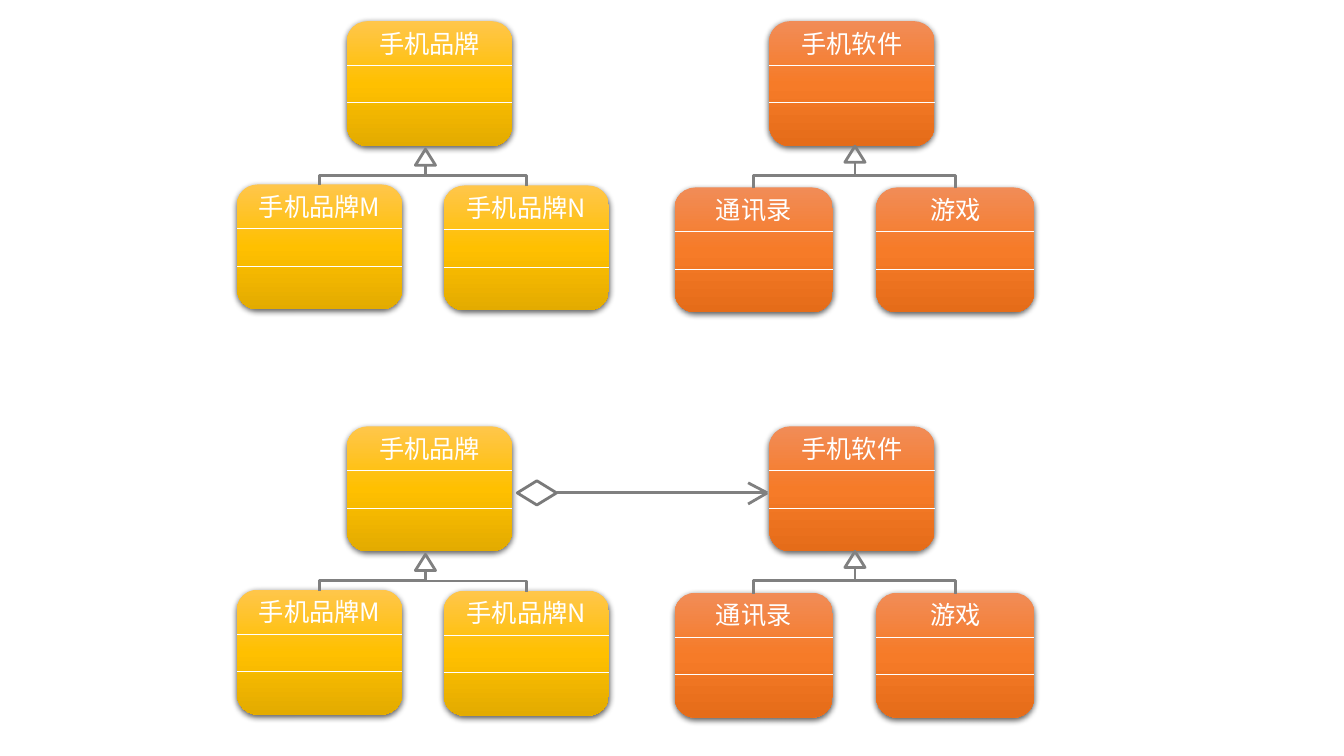
from copy import deepcopy

from lxml import etree
from pptx import Presentation
from pptx.dml.color import RGBColor
from pptx.enum import shapes, text
from pptx.oxml.ns import qn
from pptx.util import Inches, Pt

WHITE = RGBColor(0xFF, 0xFF, 0xFF)
GREY = RGBColor(0x80, 0x80, 0x80)
DIAMOND_GREY = RGBColor(0x7A, 0x7A, 0x7A)
YELLOWS = [RGBColor(0xFF, 0xC6, 0x4B), RGBColor(0xFF, 0xC0, 0x00), RGBColor(0xE3, 0xAB, 0x00)]
ORANGES = [RGBColor(0xF1, 0x8C, 0x57), RGBColor(0xF6, 0x7B, 0x28), RGBColor(0xE5, 0x6C, 0x19)]
FONT = "Noto Sans CJK SC"
BOX_HEIGHT = 1.24
ROW_STEP = 4.02

# Each family: colours, triangle (left, top), parent and children (name, left, top, width)
FAMILIES = [
    (YELLOWS, (4.12, 1.48), ("手机品牌", 3.44, 0.21, 1.64),
     [("手机品牌M", 2.35, 1.83, 1.64), ("手机品牌N", 4.4, 1.84, 1.64)]),
    (ORANGES, (8.38, 1.45), ("手机软件", 7.63, 0.21, 1.64),
     [("通讯录", 6.69, 1.86, 1.57), ("游戏", 8.69, 1.86, 1.57)]),
]


def add_line(parent, kind, x1, y1, x2, y2, color=GREY, width=2):
    line = parent.add_connector(kind, Inches(x1), Inches(y1), Inches(x2), Inches(y2))
    line.line.color.rgb = color
    line.line.width = Pt(width)
    etree.SubElement(line._element.spPr, qn("a:effectLst"))
    return line


def add_outline(parent, kind, left, top, width, height, color=GREY):
    """Add an unfilled preset shape with a 2 pt border."""
    outline = parent.add_shape(kind, Inches(left), Inches(top), Inches(width), Inches(height))
    outline.fill.background()
    outline.line.color.rgb = color
    outline.line.width = Pt(2)
    outline.shadow.inherit = False
    return outline


prs = Presentation()
prs.slide_width, prs.slide_height = Inches(13.33), Inches(7.5)
canvas = prs.slides.add_slide(prs.slide_layouts[6]).shapes
STRAIGHT = shapes.MSO_CONNECTOR.STRAIGHT

for shift in (0, ROW_STEP):
    for colors, (tip_left, tip_top), base, children in FAMILIES:
        for name, left, top, width in [base, *children]:
            top += shift
            class_box = canvas.add_group_shape().shapes
            body = class_box.add_shape(shapes.MSO_SHAPE.ROUNDED_RECTANGLE, Inches(left),
                                       Inches(top), Inches(width), Inches(BOX_HEIGHT))
            body.fill.gradient()
            body.fill.gradient_angle = 270
            stop_list = body._element.spPr.find(".//" + qn("a:gsLst"))
            stop_list.insert(1, deepcopy(stop_list[0]))
            for stop, color, position in zip(body.fill.gradient_stops, colors, (0, 0.5, 1)):
                stop.color.rgb = color
                stop.position = position
            body.line.fill.background()
            body.shadow.inherit = False
            shadow = etree.SubElement(
                body._element.spPr.find(qn("a:effectLst")), qn("a:outerShdw"),
                blurRad=str(Pt(4.5)), dist=str(Pt(1.5)), dir="5400000", rotWithShape="0")
            shade = etree.SubElement(shadow, qn("a:srgbClr"), val="000000")
            etree.SubElement(shade, qn("a:alpha"), val="63000")

            for divider in (0.44, 0.81):
                add_line(class_box, STRAIGHT, left, top + divider,
                         left + width, top + divider, WHITE, 0.5)

            label = class_box.add_textbox(Inches(left), Inches(top + 0.02),
                                          Inches(width), Inches(0.4)).text_frame
            label.word_wrap = True
            label.auto_size = text.MSO_AUTO_SIZE.SHAPE_TO_FIT_TEXT
            title = label.paragraphs[0]
            title.text = name
            title.alignment = text.PP_ALIGN.CENTER
            title.font.size = Pt(18)
            title.font.name = FONT
            title.font.color.rgb = WHITE
            # East Asian glyphs take their own typeface setting
            east_asian = etree.SubElement(title._p.pPr.find(qn("a:defRPr")), qn("a:ea"))
            east_asian.set("typeface", FONT)
            title.runs[0].font.name = FONT
            title.runs[0]._r.rPr.append(deepcopy(east_asian))

        add_outline(canvas, shapes.MSO_SHAPE.ISOSCELES_TRIANGLE,
                    tip_left, tip_top + shift, 0.2, 0.16)
        join_x, join_y = tip_left + 0.1, tip_top + 0.16 + shift
        for name, left, top, width in reversed(children):
            child_x, child_y = left + width / 2, top + 0.01 + shift
            # The elbow is turned a quarter so that it leaves the child vertically
            mid_x, mid_y = (child_x + join_x) / 2, (child_y + join_y) / 2
            half_rise, half_run = (child_y - join_y) / 2, abs(child_x - join_x) / 2
            elbow = add_line(canvas, shapes.MSO_CONNECTOR.ELBOW, mid_x - half_rise,
                             mid_y - half_run, mid_x + half_rise, mid_y + half_run)
            xfrm = elbow._element.spPr.find(qn("a:xfrm"))
            xfrm.set("flipV", "1")
            if child_x > join_x:
                xfrm.set("rot", "16200000")
            else:
                xfrm.set("rot", "5400000")
                xfrm.set("flipH", "1")

aggregation = canvas.add_group_shape().shapes
diamond = add_outline(aggregation, shapes.MSO_SHAPE.DIAMOND, 5.13, 4.77, 0.39, 0.24, DIAMOND_GREY)
shaft = add_line(aggregation, STRAIGHT, 5.52, 4.89, 7.61, 4.89)
shaft.begin_connect(diamond, 3)
for barb_y in (4.79, 5):
    add_line(aggregation, STRAIGHT, 7.42, barb_y, 7.61, 4.89)

prs.save("out.pptx")
